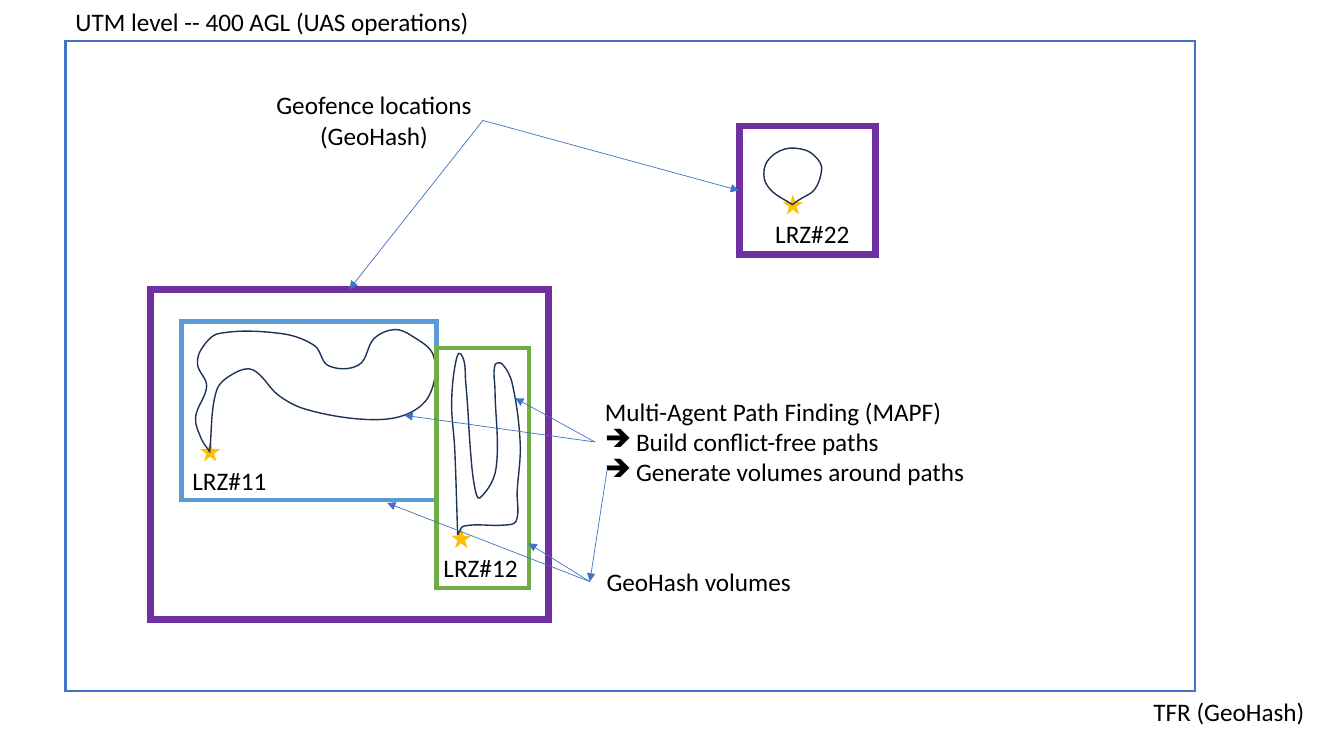
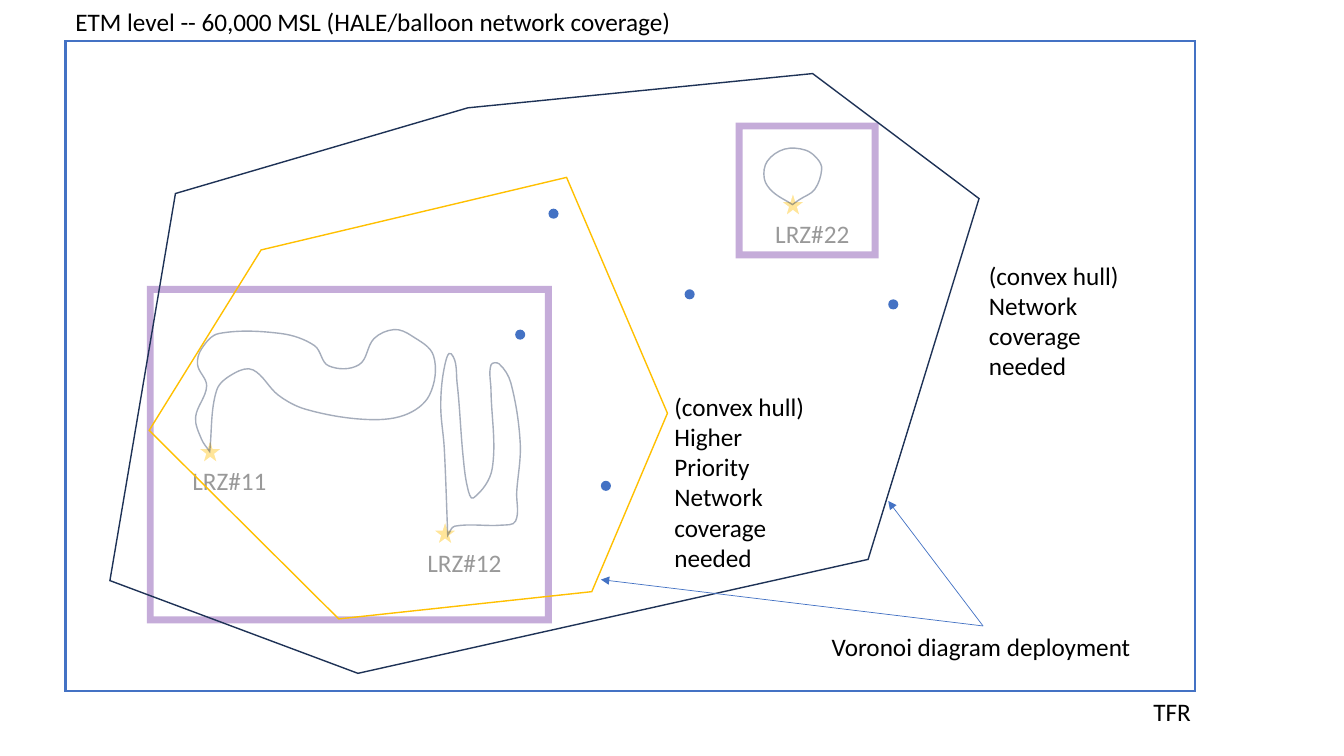
"""Build two slides on drone airspace: flight level and network coverage level."""
from math import dist

from lxml.etree import SubElement
from pptx import Presentation
from pptx.dml.color import RGBColor
from pptx.enum.shapes import MSO_CONNECTOR, MSO_SHAPE
from pptx.enum.text import MSO_AUTO_SIZE, PP_ALIGN
from pptx.oxml.ns import qn
from pptx.util import Inches, Pt

BLUE = RGBColor(0x44, 0x72, 0xC4)
LIGHT_BLUE = RGBColor(0x5B, 0x9B, 0xD5)
GREEN = RGBColor(0x70, 0xAD, 0x47)
PURPLE = RGBColor(0x70, 0x30, 0xA0)
GOLD = RGBColor(0xFF, 0xC0, 0x00)
NAVY = RGBColor(0x1E, 0x32, 0x56)
WHITE = RGBColor(0xFF, 0xFF, 0xFF)
BLACK = RGBColor(0x00, 0x00, 0x00)
TOP, LEFT, BOTTOM, RIGHT = range(4)

PATH_11 = [(2.08, 4.48), (2.15, 3.87), (2.33, 3.7), (2.51, 3.67), (2.76, 3.92),
           (3.03, 4.06), (3.6, 4.16), (4.01, 4.12), (4.26, 3.92), (4.3, 3.53),
           (4.08, 3.33), (3.91, 3.27), (3.71, 3.36), (3.56, 3.62), (3.26, 3.63),
           (3.12, 3.43), (2.79, 3.31), (2.17, 3.31), (2, 3.46), (1.96, 3.62),
           (2.05, 3.83), (1.94, 4.14), (2, 4.36)]
PATH_22 = [(7.86, 2.03), (7.66, 1.9), (7.58, 1.77), (7.61, 1.6), (7.78, 1.48),
           (7.99, 1.49), (8.11, 1.58), (8.15, 1.68), (8.08, 1.88), (7.93, 1.98)]
PATH_12 = [(4.54, 5.31), (4.51, 4.44), (4.48, 4.03), (4.51, 3.65), (4.57, 3.51),
           (4.62, 3.8), (4.67, 4.51), (4.71, 4.84), (4.76, 4.94), (4.92, 4.65),
           (4.91, 3.87), (4.91, 3.62), (4.98, 3.61), (5.08, 3.8), (5.16, 4.4),
           (5.13, 4.88), (5.12, 5.17), (5, 5.21), (4.6, 5.22)]
COVERAGE_HULL = [(4.64, 1.07), (8.06, 0.73), (9.71, 1.97), (8.61, 5.55),
                 (3.55, 6.68), (1.09, 5.76), (1.74, 1.92)]
PRIORITY_HULL = [(2.59, 2.48), (1.48, 4.27), (3.36, 6.14),
                 (5.87, 5.87), (6.62, 4.1), (5.62, 1.76)]
BALLOONS = [(5.44, 2.07), (6.79, 2.87), (5.11, 3.27), (8.81, 2.97), (5.96, 4.77)]


def smooth_points(points):
    """Return the points of a loop of cubic curves with a corner at its start."""
    loop = [*points, points[0]]
    befores = [loop[0], *loop[:-1]]
    afters = [*loop[1:], loop[-1]]
    tangents = []
    for before, after in zip(befores, afters):
        length = dist(before, after)
        tangents.append([(b - a) / length for a, b in zip(before, after)])
    result = [loop[0]]
    for index in range(len(points)):
        start, end = loop[index:index + 2]
        reach = dist(start, end) / 3
        result.append(tuple(p + reach * t for p, t in zip(start, tangents[index])))
        result.append(tuple(p - reach * t for p, t in zip(end, tangents[index + 1])))
        result.append(end)
    return result


def write_text(frame, text, size=18, color=BLACK, font="Calibri", align=None, bullet_from=None):
    """Write one paragraph per line, with arrow bullets from a given line on."""
    for index, line in enumerate(text.split("\n")):
        para = frame.paragraphs[0] if index == 0 else frame.add_paragraph()
        para.alignment = align
        span = para.add_run()
        span.text = line
        span.font.size, span.font.name = Pt(size), font
        span.font.color.rgb = color
        if bullet_from is not None and index >= bullet_from:
            properties = para._p.get_or_add_pPr()
            properties.set("marL", str(Inches(0.31)))
            properties.set("indent", str(-Inches(0.31)))
            SubElement(properties, qn("a:buChar")).set("char", "➔")


def fade(shape, opacity):
    """Make every colour of a shape but white partly transparent."""
    if opacity < 100:
        for color in shape._element.iter(qn("a:srgbClr")):
            if color.get("val") != str(WHITE):
                SubElement(color, qn("a:alpha")).set("val", str(opacity * 1000))


class Canvas:
    """Hold the deck, the current page and the style of its elements."""

    def __init__(self):
        self.deck = Presentation()
        self.deck.slide_width, self.deck.slide_height = Inches(13.33), Inches(7.5)
        self.shapes = None

    def new_page(self):
        self.shapes = self.deck.slides.add_slide(self.deck.slide_layouts[6]).shapes

    def finish(self, shape, fill=None, line=None, width=1, opacity=100):
        shape.shadow.inherit = False
        if fill is None:
            shape.fill.background()
        else:
            shape.fill.solid()
            shape.fill.fore_color.rgb = fill
        if line is None:
            shape.line.fill.background()
        else:
            shape.line.color.rgb = line
            shape.line.width = Pt(width)
            SubElement(shape.line._get_or_add_ln(), qn("a:miter")).set("lim", "800000")
        fade(shape, opacity)
        return shape

    def shape(self, kind, *bounds, parent=None, **style):
        shapes = parent or self.shapes
        return self.finish(shapes.add_shape(kind, *map(Inches, bounds)), **style)

    def frame(self, *bounds, **style):
        return self.shape(MSO_SHAPE.RECTANGLE, *bounds, **style)

    def text(self, text, *bounds, parent=None, wrap=False, opacity=100, **style):
        box = (parent or self.shapes).add_textbox(*map(Inches, bounds))
        box.text_frame.word_wrap = wrap
        box.text_frame.auto_size = MSO_AUTO_SIZE.SHAPE_TO_FIT_TEXT
        write_text(box.text_frame, text, **style)
        fade(box, opacity)
        return box

    def landing_zone(self, label, left, top, opacity):
        group = self.shapes.add_group_shape().shapes
        self.shape(MSO_SHAPE.STAR_5_POINT, left, top, 0.27, 0.27, parent=group,
                   fill=GOLD, line=WHITE, width=1.5, opacity=opacity)
        self.text(label, left - 0.14, top + 0.23, 0.95, 0.4, parent=group, opacity=opacity)

    def outline(self, points, color=NAVY, curved=False, opacity=100):
        corners = smooth_points(points) if curved else points
        start, *rest = [(Inches(x), Inches(y)) for x, y in corners]
        builder = self.shapes.build_freeform(*start)
        builder.add_line_segments(rest, close=True)
        shape = builder.convert_to_shape()
        if curved:
            segments = list(shape._element.iter(qn("a:lnTo")))
            for index in range(0, len(segments), 3):
                curve = segments[index]
                curve.tag = qn("a:cubicBezTo")
                for other in segments[index + 1:index + 3]:
                    curve.append(other[0])
                    other.getparent().remove(other)
        return self.finish(shape, line=color, opacity=opacity)

    def arrow(self, start=(0, 0), end=(0, 0), start_joint=None, end_joint=None):
        connector = self.shapes.add_connector(
            MSO_CONNECTOR.STRAIGHT, *map(Inches, (*start, *end)))
        if start_joint:
            connector.begin_connect(*start_joint)
        if end_joint:
            connector.end_connect(*end_joint)
        connector.line.color.rgb = BLUE
        connector.line.width = Pt(0.5)
        SubElement(connector.line._get_or_add_ln(), qn("a:tailEnd")).set("type", "triangle")
        SubElement(connector._element.spPr, qn("a:effectLst"))

    def airspace(self, title, title_width, corner, corner_width, star_12, stretch=1, opacity=100):
        """Start a page with the area, geofences, landing zones and flight paths."""
        self.new_page()
        self.frame(0.65, 0.41, 11.2, 6.45, line=BLUE, width=1.5)
        fences = [self.frame(*bounds, line=PURPLE, width=5, opacity=opacity)
                  for bounds in ((1.49, 2.87, 3.95, 3.28), (7.33, 1.25, 1.35, 1.28))]
        for label, place in (("LRZ#11", (1.95, 4.34)), ("LRZ#22", (7.73, 1.89)),
                             ("LRZ#12", star_12)):
            self.landing_zone(label, *place, opacity)
        right_edge = 5.16
        path_12 = [(right_edge - (right_edge - x) * stretch, y) for x, y in PATH_12]
        for points in (PATH_11, PATH_22, path_12):
            self.outline(points, curved=True, opacity=opacity)
        self.text(title, 0.65, 0.01, title_width, 0.4)
        self.text(corner, 11.34, 6.86, corner_width, 0.4)
        return fences


def build_flight_level(canvas):
    """Draw the page with conflict-free paths and their volumes."""
    large_fence, small_fence = canvas.airspace(
        "UTM level -- 400 AGL (UAS operations)", 4.15, "TFR (GeoHash)", 1.72, (4.44, 5.2))
    planning = canvas.text(
        "Multi-Agent Path Finding (MAPF)\nBuild conflict-free paths\n"
        "Generate volumes around paths", 5.9, 3.88, 3.81, 1.01, bullet_from=1)
    geofences = canvas.text("Geofence locations\n(GeoHash)", 2.63, 0.84, 2.16, 0.71,
                            wrap=True, align=PP_ALIGN.CENTER)
    canvas.frame(1.8, 3.19, 2.53, 1.77, line=LIGHT_BLUE, width=3)
    canvas.frame(4.33, 3.45, 0.92, 2.38, line=GREEN, width=3)
    volumes = canvas.text("GeoHash volumes", 5.85, 5.57, 2.16, 0.4,
                          wrap=True, align=PP_ALIGN.CENTER)
    for joint in ((small_fence, LEFT), (large_fence, TOP)):
        canvas.arrow(start_joint=(geofences, RIGHT), end_joint=joint)
    for source, target in ((planning, (5.11, 3.95)), (planning, (4.01, 4.12)),
                           (volumes, (5.24, 5.39)), (volumes, (3.84, 4.99))):
        canvas.arrow(end=target, start_joint=(source, LEFT))
    canvas.arrow(start=(6.02, 4.67), end_joint=(volumes, LEFT))


def build_network_level(canvas):
    """Draw the page with network coverage hulls and balloons."""
    canvas.airspace("ETM level -- 60,000 MSL (HALE/balloon network coverage)", 6.23,
                    "TFR", 0.58, (4.28, 5.15), stretch=1.16, opacity=40)
    for place in BALLOONS:
        canvas.shape(MSO_SHAPE.OVAL, *place, 0.1, 0.1, fill=BLUE)
    canvas.outline(COVERAGE_HULL)
    canvas.outline(PRIORITY_HULL, color=GOLD)
    canvas.text("(convex hull)\nNetwork coverage needed", 9.71, 2.53, 1.67, 1.31, wrap=True)
    canvas.text("(convex hull)\nHigher Priority Network coverage needed",
                6.59, 3.83, 1.67, 1.92, wrap=True)
    deployment = canvas.text("Voronoi diagram deployment", 8.15, 6.21, 3.2, 0.4)
    for target in ((8.81, 4.97), (5.96, 5.75)):
        canvas.arrow(end=target, start_joint=(deployment, TOP))


def main():
    """Build both pages and save the deck."""
    canvas = Canvas()
    build_flight_level(canvas)
    build_network_level(canvas)
    canvas.deck.save("out.pptx")


if __name__ == "__main__":
    main()
